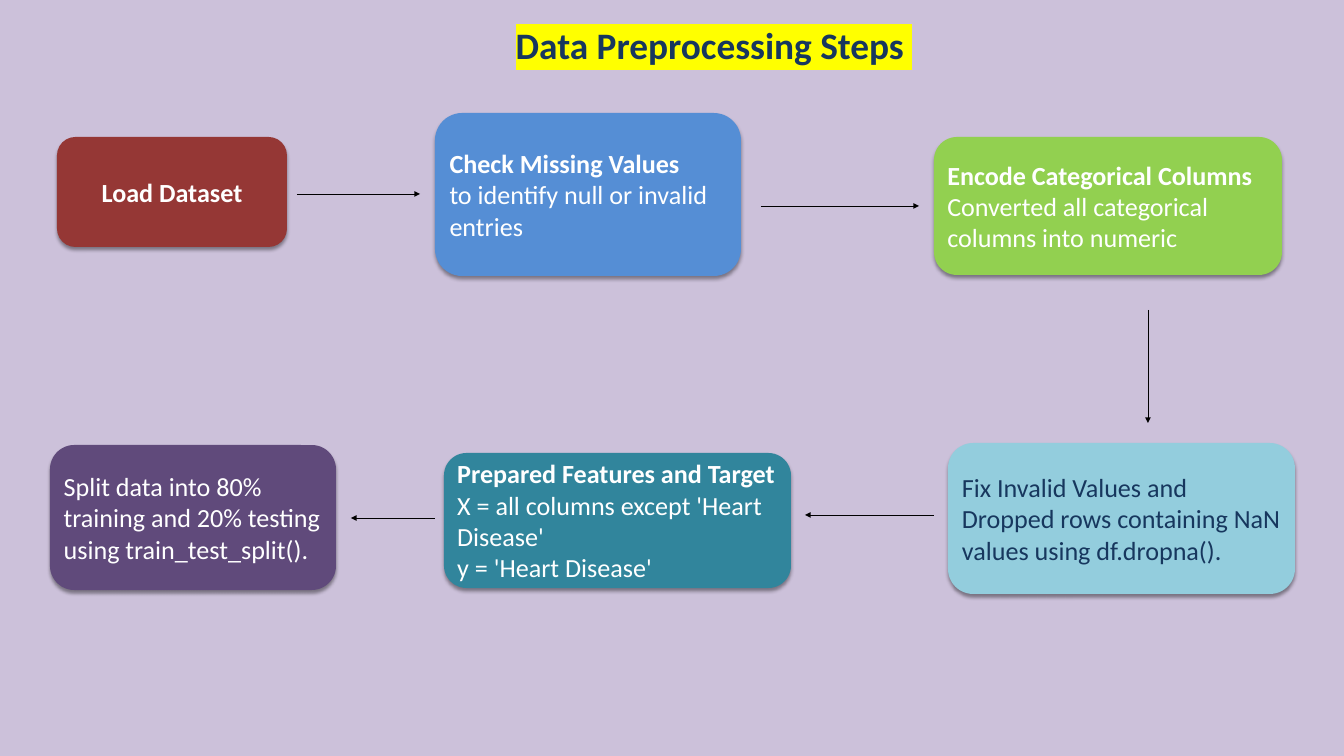
import pptx
import pptx.util
import pptx.dml.color
import pptx.enum.dml
import pptx.enum.shapes
import pptx.enum.text
import pptx.oxml
import pptx.oxml.ns

RGB = pptx.dml.color.RGBColor
BACKGROUND = RGB(0xCC, 0xC1, 0xDA)
NAVY = RGB(0x17, 0x37, 0x5E)
WHITE = RGB(0xFF, 0xFF, 0xFF)
BLACK = RGB(0, 0, 0)
YELLOW = RGB(0xFF, 0xFF, 0)
RED = RGB(0x95, 0x37, 0x35)
BLUE = RGB(0x55, 0x8E, 0xD5)
GREEN = RGB(0x92, 0xD0, 0x50)
AQUA = RGB(0x93, 0xCD, 0xDD)
PURPLE = RGB(0x60, 0x4A, 0x7B)
TEAL = RGB(0x31, 0x85, 0x9C)

LEFT = pptx.enum.text.PP_ALIGN.LEFT
CENTER = pptx.enum.text.PP_ALIGN.CENTER
FONT = "Calibri"

# Content: lengths in px, 67.2 to the inch
TITLE = "Data Preprocessing Steps "
TITLE_BOX = (509, 19, 415, 52)

# (left, top, width, height), fill, text colour, alignment, heading, body paragraphs
STEPS = [
    ((57, 137, 230, 110), RED, WHITE, CENTER, "Load Dataset", []),
    ((435, 113, 306, 163), BLUE, WHITE, LEFT, "Check Missing Values",
     ["to identify null or invalid entries"]),
    ((934, 137, 348, 138), GREEN, WHITE, LEFT, "Encode Categorical Columns",
     ["Converted all categorical columns into numeric"]),
    ((948, 443, 347, 151), AQUA, NAVY, LEFT, None,
     ["Fix Invalid Values and Dropped rows containing NaN values using df.dropna()."]),
    ((444, 453, 347, 135), TEAL, WHITE, LEFT, "Prepared Features and Target",
     ["X = all columns except 'Heart Disease'", "y = 'Heart Disease'"]),
    ((50, 445, 286, 145), PURPLE, WHITE, LEFT, None,
     ["Split data into 80% training and 20% testing using train_test_split()."]),
]

# Arrow start and end: x1, y1, x2, y2
ARROWS = [
    (297, 194, 420, 194),
    (761, 206, 919, 206),
    (1148, 310, 1148, 423),
    (934, 515, 805, 515),
    (435, 518, 351, 518),
]


def px(*lengths):
    return [pptx.util.Emu(round(v * 914400 / 67.2)) for v in lengths]


def element(xml):
    return pptx.oxml.parse_xml(
        xml.replace(" ", f" {pptx.oxml.ns.nsdecls('a')} ", 1))


def add_run(p, text, size, color, bold):
    r = p.add_run()
    r.text = text
    r.font.name = FONT
    r.font.size = pptx.util.Pt(size)
    r.font.bold = bold
    r.font.color.rgb = color
    return r


def add_title(s):
    sp = s.shapes.title
    sp.left, sp.top, sp.width, sp.height = px(*TITLE_BOX)
    tf = sp.text_frame
    tf.word_wrap = False
    tf.auto_size = pptx.enum.text.MSO_AUTO_SIZE.NONE
    tf.vertical_anchor = pptx.enum.text.MSO_ANCHOR.TOP
    p = tf.paragraphs[0]
    p.alignment = LEFT
    r = add_run(p, TITLE, 40, NAVY, True)
    fill = r.font._element.find(pptx.oxml.ns.qn("a:solidFill"))
    fill.addnext(element(
        f'<a:highlight ><a:srgbClr val="{YELLOW}"/></a:highlight>'))


def add_step(s, box, fill, color, alignment, heading, body):
    sp = s.shapes.add_shape(
        pptx.enum.shapes.MSO_SHAPE.ROUNDED_RECTANGLE, *px(*box))
    sp.fill.solid()
    sp.fill.fore_color.rgb = fill
    sp.line.fill.background()
    # Soft shadow below the box
    sp.shadow.inherit = False
    effects = sp._element.spPr.find(pptx.oxml.ns.qn("a:effectLst"))
    effects.append(element(
        '<a:outerShdw blurRad="50800" dist="38100" dir="5400000" rotWithShape="0">'
        '<a:srgbClr val="000000"><a:alpha val="40000"/></a:srgbClr></a:outerShdw>'))

    tf = sp.text_frame
    tf.word_wrap = True
    tf.vertical_anchor = pptx.enum.text.MSO_ANCHOR.MIDDLE
    lines = [(heading, True)] if heading else []
    lines += [(text, False) for text in body]
    for i, (text, bold) in enumerate(lines):
        p = tf.add_paragraph() if i else tf.paragraphs[0]
        p.alignment = alignment
        add_run(p, text, 28, color, bold)


def add_arrow(s, ends):
    arrow = s.shapes.add_connector(
        pptx.enum.shapes.MSO_CONNECTOR.STRAIGHT, *px(*ends))
    arrow.line.color.rgb = BLACK
    arrow.line.width = pptx.util.Pt(0.75)
    arrow.line._get_or_add_ln().append(element('<a:tailEnd type="triangle"/>'))
    arrow._element.spPr.append(element('<a:effectLst />'))


def main():
    prs = pptx.Presentation()
    prs.slide_width, prs.slide_height = px(1344, 756)
    s = prs.slides.add_slide(prs.slide_layouts[5])
    s.background.fill.solid()
    s.background.fill.fore_color.rgb = BACKGROUND

    add_title(s)
    for step in STEPS:
        add_step(s, *step)
    for ends in ARROWS:
        add_arrow(s, ends)
    prs.save("out.pptx")


if __name__ == "__main__":
    main()
